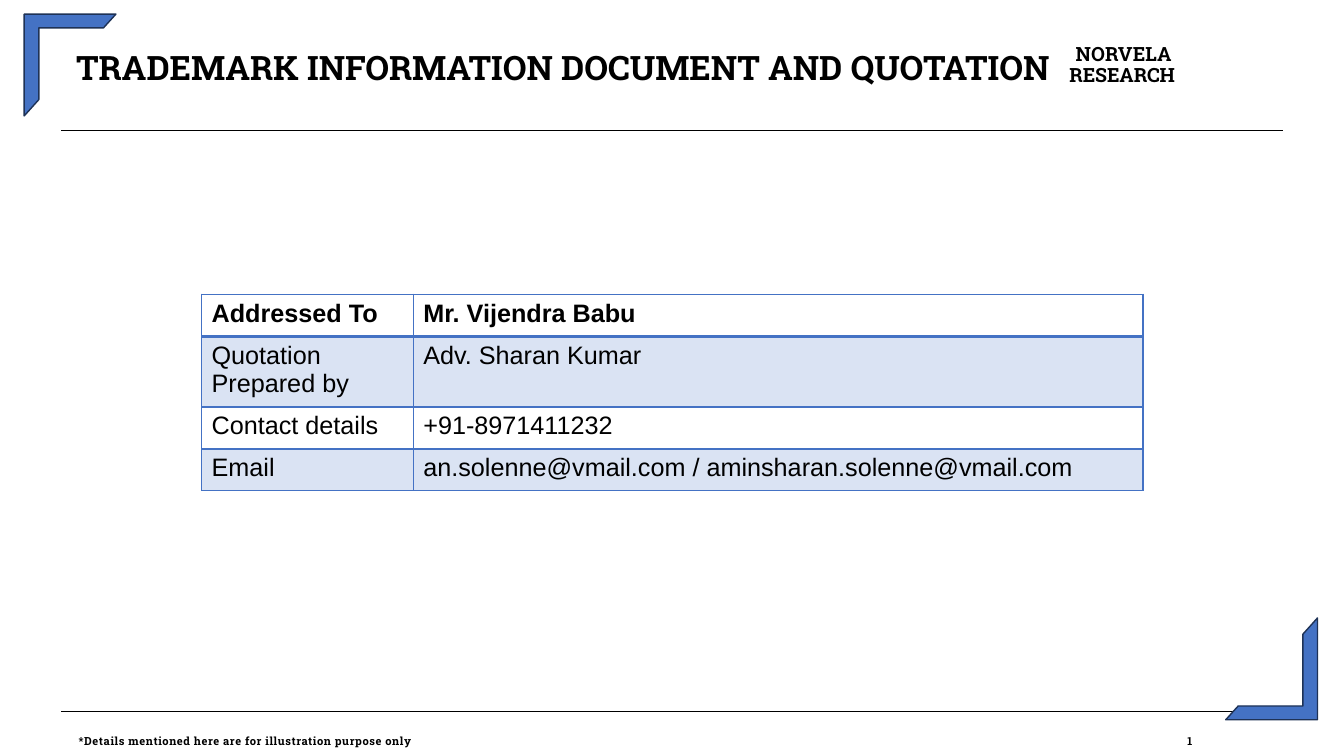
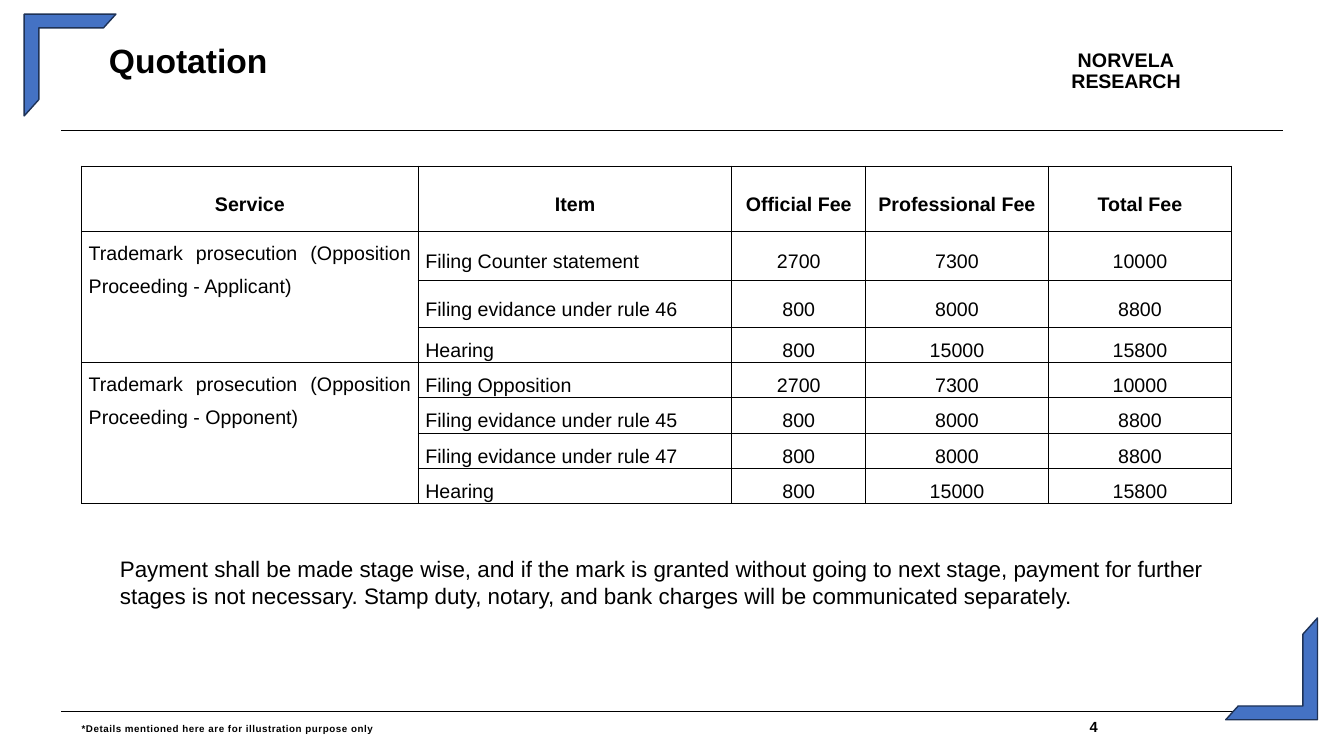
"""Build the two slides of a trademark quotation."""
from dataclasses import dataclass

from lxml import etree
from pptx import Presentation
from pptx.dml.color import RGBColor
from pptx.enum.shapes import MSO_CONNECTOR, MSO_SHAPE
from pptx.enum.text import MSO_ANCHOR, PP_ALIGN
from pptx.oxml.ns import qn
from pptx.util import Emu, Inches, Pt

LEFT, MID, JUST = PP_ALIGN.LEFT, PP_ALIGN.CENTER, PP_ALIGN.JUSTIFY
TOP, HALF = MSO_ANCHOR.TOP, MSO_ANCHOR.MIDDLE
LINE, FRAME = MSO_CONNECTOR.STRAIGHT, MSO_SHAPE.HALF_FRAME
COLS, ROWS = 40, 22.5
WIDE, HIGH = Inches(13.33), Inches(7.5)


@dataclass(frozen=True)
class Theme:
    ink: str = "000000"
    blue: str = "4472C4"
    edge: str = "1E3256"
    tint: str = "DAE3F3"
    slab: str = "Roboto Slab"
    sans: str = "Arial"
    title: float = 24
    label: float = 18
    body: float = 16
    small: float = 14
    page: float = 10.5
    note: float = 8
    fine: float = 7
    rule: float = 0.48


THEME = Theme()


def tone(code):
    return RGBColor.from_string(code)


def across(n):
    return Emu(round(n * WIDE / COLS))


def down(n):
    return Emu(round(n * HIGH / ROWS))


def place(x, y, w, h):
    return across(x), down(y), across(w), down(h)


class Deck:
    def __init__(self):
        self.prs = Presentation()
        self.prs.slide_width, self.prs.slide_height = WIDE, HIGH
        self.page = None
        self.face = THEME.sans

    def start(self, face):
        self.page = self.prs.slides.add_slide(self.prs.slide_layouts[6]).shapes
        self.face = face
        for y in (3.87, 21.17):
            self.rule(1.83, y, 36.36)
        self.corner(0.72, 0.42, 0)
        self.corner(36.48, 18.39, 180)

    def rule(self, x, y, w):
        line = self.page.add_connector(
            LINE, across(x), down(y), across(x + w), down(y))
        line.line.color.rgb = tone(THEME.ink)
        line.line.width = Pt(THEME.rule)
        props = line._element.find(qn("p:spPr"))
        etree.SubElement(props, qn("a:effectLst"))

    def corner(self, x, y, turn):
        frame = self.page.add_shape(FRAME, *place(x, y, 2.73, 3.03))
        frame.adjustments[0], frame.adjustments[1] = 0.15, 0.16
        frame.rotation = turn
        frame.shadow.inherit = False
        frame.fill.solid()
        frame.fill.fore_color.rgb = tone(THEME.blue)
        frame.line.color.rgb = tone(THEME.edge)
        frame.line.width = Pt(1)

    def run(self, para, text, size, bold=False, gap=0):
        run = para.add_run()
        run.text = text
        font = run.font
        font.name, font.size, font.bold = self.face, Pt(size), bold
        font.color.rgb = tone(THEME.ink)
        if gap:
            run._r.get_or_add_rPr().set("spc", str(round(gap * 100)))

    def box(self, x, y, w, h, pad=(0, 0), align=LEFT, lead=None):
        frame = self.page.add_textbox(*place(x, y, w, h)).text_frame
        frame.word_wrap = True
        frame.margin_left = frame.margin_right = across(pad[0])
        frame.margin_top = frame.margin_bottom = down(pad[1])
        para = frame.paragraphs[0]
        para.alignment = align
        if lead:
            para.line_spacing = lead
        return para

    def title(self, text, x, y, w, h, align, lead):
        para = self.box(x, y, w, h, align=align, lead=lead)
        self.run(para, text, THEME.title, True)

    def brand(self, x, y):
        para = self.box(x, y, 3.6, 1.29, lead=0.87)
        props = para._p.get_or_add_pPr()
        props.set("marL", str(across(0.03)))
        props.set("indent", str(across(0.18)))
        self.run(para, "NORVELA", THEME.small, True, 0.1)
        para.add_line_break()
        self.run(para, "RESEARCH", THEME.small, True, -0.1)

    def foot(self, x, y, stop, number, size, mark):
        para = self.box(x, y, 35.76, 0.4, lead=0.84)
        tabs = etree.SubElement(para._p.get_or_add_pPr(), qn("a:tabLst"))
        etree.SubElement(tabs, qn("a:tab"), pos=str(across(stop)), algn="l")
        note = "*Details mentioned here are for illustration purpose only\t"
        self.run(para, note, size, True, 0.4)
        self.run(para, number, mark, True, 0.4)

    def prose(self, text, x, y, w, h):
        self.run(self.box(x, y, w, h, pad=(0.3, 0.15)), text, THEME.body)

    def grid(self, x, y, wide, high, rows):
        area = place(x, y, sum(wide), sum(high))
        table = self.page.add_table(len(rows), len(wide), *area).table
        table.first_row = table.horz_banding = False
        for col, w in zip(table.columns, wide):
            col.width = across(w)
        for row, h in zip(table.rows, high):
            row.height = down(h)
        for r, row in enumerate(rows):
            for c, text in enumerate(row):
                yield r, c, table.cell(r, c), text

    def cell(self, cell, text, size, bold, pad, align=LEFT, anchor=TOP,
             lead=None):
        cell.margin_left = cell.margin_right = across(pad[0])
        cell.margin_top = cell.margin_bottom = down(pad[1])
        cell.vertical_anchor = anchor
        para = cell.text_frame.paragraphs[0]
        para.alignment = align
        if lead:
            para.line_spacing = lead
        if text:
            self.run(para, text, size, bold)

    def paint(self, cell, fill, edge, top=1, base=1):
        if fill:
            cell.fill.solid()
            cell.fill.fore_color.rgb = tone(fill)
        else:
            cell.fill.background()
        props = cell._tc.get_or_add_tcPr()
        sides = (("L", 1), ("R", 1), ("T", top), ("B", base))
        for spot, (side, width) in enumerate(sides):
            line = etree.Element(qn("a:ln" + side), w=str(Pt(width)))
            solid = etree.SubElement(line, qn("a:solidFill"))
            etree.SubElement(solid, qn("a:srgbClr"), val=edge)
            props.insert(spot, line)

    def people(self, rows):
        high = (1.25, 1.95, 1.25, 1.25)
        for r, c, cell, text in self.grid(6, 8.76, (6.3, 21.72), high, rows):
            self.cell(cell, text, THEME.label, r == 0, (0.3, 0.15))
            self.paint(cell, THEME.tint if r % 2 else None, THEME.blue,
                       top=2 if r == 1 else 1, base=2 if r == 0 else 1)

    def fees(self, head, groups):
        rows, spans = [head], {}
        for name, items in groups:
            spans[len(rows)] = len(items)
            for i, (item, due, work) in enumerate(items):
                rows.append((name if i == 0 else "", item, str(due),
                             str(work), str(due + work)))
        wide = (10.02, 9.33, 3.99, 5.43, 5.46)
        high = [1.94, 1.45, 1.4] + [1.05] * (len(rows) - 3)
        cells = {}
        for r, c, cell, text in self.grid(2.43, 4.95, wide, high, rows):
            self.cell(cell, text, THEME.small, r == 0, (0.21, 0),
                      JUST if r and c < 2 else MID,
                      TOP if r and c == 0 else HALF, 1.5)
            self.paint(cell, None, THEME.ink)
            cells[r, c] = cell
        for r, count in spans.items():
            cells[r, 0].merge(cells[r + count - 1, 0])


def main():
    deck = Deck()

    deck.start(THEME.slab)
    deck.title("TRADEMARK INFORMATION DOCUMENT AND QUOTATION",
               1.95, 1.62, 29.6, 1.05, MID, 0.82)
    deck.brand(31.8, 1.35)
    deck.foot(2.34, 21.93, 33, "1", THEME.note, THEME.note)
    deck.face = THEME.sans
    deck.people((
        ("Addressed To", "Mr. Vijendra Babu"),
        ("Quotation Prepared by", "Adv. Sharan Kumar"),
        ("Contact details", "+91-8971411232"),
        ("Email", "an.solenne@vmail.com / aminsharan.solenne@vmail.com"),
    ))

    deck.start(THEME.sans)
    deck.title("Quotation", 3.24, 1.44, 28, 1.8, LEFT, 0.79)
    deck.brand(31.86, 1.53)
    deck.foot(2.43, 21.45, 30, "4", THEME.fine, THEME.page)
    deck.fees(
        ("Service", "Item", "Official Fee", "Professional Fee", "Total Fee"),
        (
            ("Trademark prosecution (Opposition Proceeding - Applicant)", (
                ("Filing Counter statement", 2700, 7300),
                ("Filing evidance under rule 46", 800, 8000),
                ("Hearing", 800, 15000),
            )),
            ("Trademark prosecution (Opposition Proceeding - Opponent)", (
                ("Filing Opposition", 2700, 7300),
                ("Filing evidance under rule 45", 800, 8000),
                ("Filing evidance under rule 47", 800, 8000),
                ("Hearing", 800, 15000),
            )),
        ))
    deck.prose(
        "Payment shall be made stage wise, and if the mark is granted without "
        "going to next stage, payment for further stages is not necessary. "
        "Stamp duty, notary, and bank charges will be communicated separately.",
        3.27, 16.38, 34.89, 1.92)

    deck.prs.save("out.pptx")


if __name__ == "__main__":
    main()
